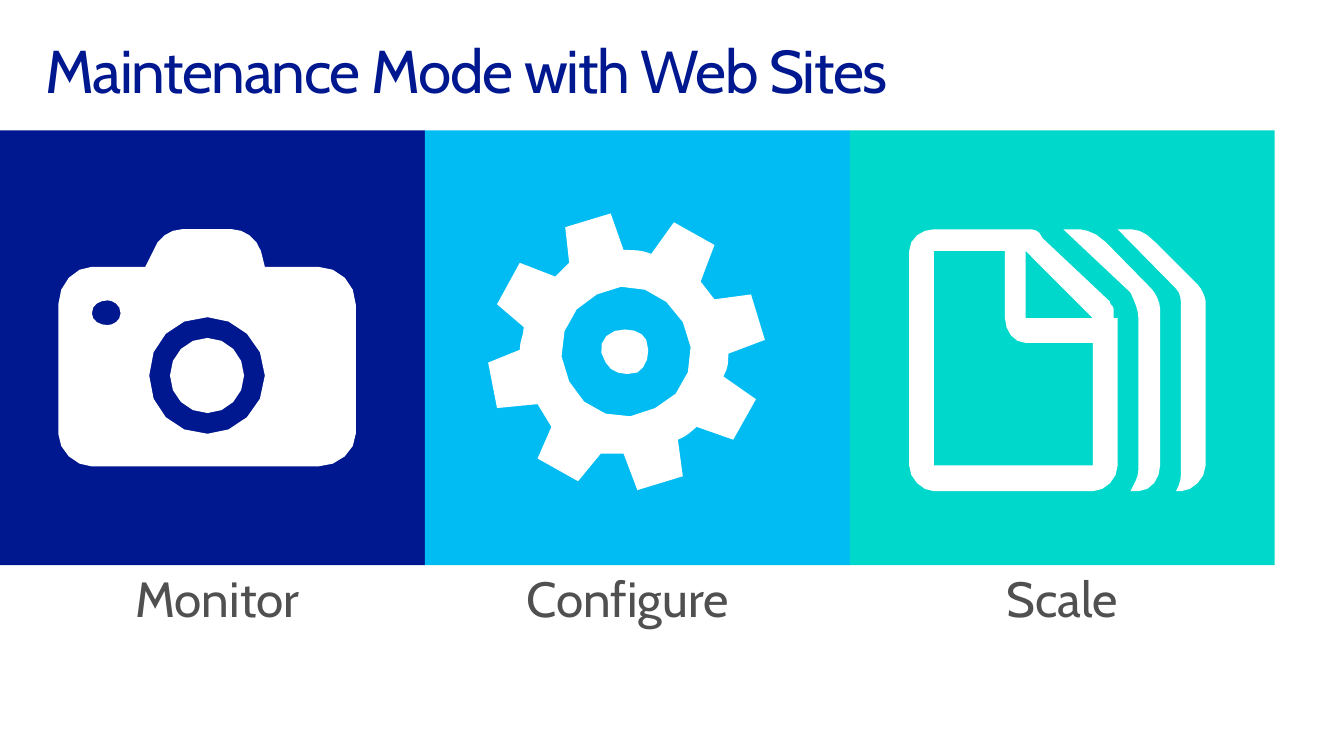
from dataclasses import dataclass

from pptx import Presentation
from pptx import util as u
from pptx.dml.color import RGBColor
from pptx.enum import shapes, text
from pptx.shapes.autoshape import Shape
from pptx.slide import Slide


@dataclass(frozen=True)
class Theme:
    font: str = "Cabin"
    navy: str = "00188F"
    sky: str = "00BCF2"
    teal: str = "00D8CC"
    white: str = "FFFFFF"
    grey: str = "505050"
    title_size: int = 44
    label_size: int = 36
    title_tracking: float = -1.02


@dataclass(frozen=True)
class Panel:
    label: str
    color: str
    label_left: float
    label_width: float
    icon: tuple[str, ...]


THEME = Theme()
PANEL_TOP, PANEL_WIDTH, PANEL_HEIGHT = 1.32, 4.3, 4.4
CURVE_STEPS = 4

# Each string is one closed contour in inches, with steps separated by "|":
# two numbers are a corner, six numbers are a Bézier curve.
CAMERA = (
    "2.68 3.8 | 2.68 3.46 2.39 3.21 2.1 3.21 | 1.76 3.21 1.51 3.46 1.51 3.8"
    " | 1.51 4.14 1.76 4.39 2.1 4.39 | 2.39 4.39 2.68 4.14 2.68 3.8",
    "1.22 3.17 | 1.22 3.08 1.14 3.04 1.09 3.04 | 1.01 3.04 0.93 3.08 0.93 3.17"
    " | 0.93 3.25 1.01 3.29 1.09 3.29 | 1.14 3.29 1.22 3.25 1.22 3.17",
    "3.6 3.08 | 3.6 4.39 | 3.6 4.56 3.43 4.72 3.22 4.72 | 0.93 4.72"
    " | 0.76 4.72 0.59 4.56 0.59 4.39 | 0.59 3.08 | 0.59 2.87 0.76 2.7 0.93 2.7"
    " | 1.47 2.7 | 1.55 2.54 | 1.59 2.41 1.72 2.32 1.84 2.32 | 2.35 2.32"
    " | 2.47 2.32 2.6 2.41 2.64 2.54 | 2.68 2.7 | 3.22 2.7"
    " | 3.43 2.7 3.6 2.87 3.6 3.08",
    "2.47 3.8 | 2.47 4.01 2.3 4.18 2.1 4.18 | 1.89 4.18 1.72 4.01 1.72 3.8"
    " | 1.72 3.59 1.89 3.42 2.1 3.42 | 2.3 3.42 2.47 3.59 2.47 3.8",
)
GEAR = (
    "6.63 4.13 | 6.31 4.32 5.9 4.18 5.76 3.86 | 5.58 3.54 5.72 3.12 6.04 2.98"
    " | 6.36 2.8 6.73 2.94 6.91 3.26 | 7.09 3.58 6.96 4 6.63 4.13",
    "7.74 3.44 | 7.6 2.98 | 7.23 3.03 | 7.09 2.85"
    " | 7.23 2.48 | 6.82 2.25 | 6.59 2.57 | 6.5 2.53 6.41 2.53 6.31 2.53"
    " | 6.18 2.16 | 5.72 2.3 | 5.76 2.66 | 5.62 2.8"
    " | 5.26 2.66 | 5.03 3.08 | 5.3 3.31 | 5.3 3.4 5.26 3.44 5.26 3.54"
    " | 4.94 3.67 | 5.03 4.13 | 5.44 4.09 | 5.58 4.32"
    " | 5.44 4.64 | 5.85 4.87 | 6.08 4.59 | 6.31 4.59"
    " | 6.45 4.96 | 6.91 4.82 | 6.86 4.45 | 6.96 4.41 7 4.36 7.05 4.32"
    " | 7.42 4.45 | 7.65 4.04 | 7.32 3.81 | 7.37 3.72 7.37 3.67 7.37 3.58",
    "6.22 3.35 | 6.08 3.4 6.04 3.54 6.13 3.67 | 6.18 3.77 6.31 3.81 6.45 3.77"
    " | 6.54 3.72 6.59 3.58 6.54 3.44 | 6.5 3.35 6.36 3.31 6.22 3.35",
)
PAGES = (
    "11.27 3.22 | 11.27 3.13 | 11.27 3.09 11.23 3.09 11.23 3.05 | 10.55 2.41"
    " | 10.51 2.32 10.47 2.32 10.38 2.32 | 9.45 2.32"
    " | 9.33 2.32 9.2 2.41 9.2 2.54 | 9.2 4.71 | 9.2 4.84 9.33 4.97 9.45 4.97"
    " | 11.06 4.97 | 11.19 4.97 11.31 4.84 11.31 4.71 | 11.31 3.22",
    "10.38 2.54 | 11.06 3.22 | 10.38 3.22",
    "11.06 4.71 | 9.45 4.71 | 9.45 2.54 | 10.17 2.54 | 10.17 3.22"
    " | 10.17 3.35 10.26 3.47 10.38 3.47 | 11.06 3.47",
    "11.65 2.92 | 11.69 2.96 11.74 3.05 11.74 3.13 | 11.74 4.71"
    " | 11.74 4.84 11.65 4.97 11.52 4.97 | 11.44 4.97"
    " | 11.48 4.88 11.52 4.84 11.52 4.75 | 11.52 3.22"
    " | 11.52 3.13 11.48 3.05 11.44 2.96 | 10.76 2.32 | 10.89 2.32"
    " | 10.93 2.32 11.06 2.32 11.19 2.45",
    "12.12 2.88 | 12.16 2.92 12.2 3.01 12.2 3.05 | 12.2 4.71"
    " | 12.2 4.84 12.07 4.97 11.95 4.97 | 11.9 4.97"
    " | 11.95 4.88 11.95 4.84 11.95 4.75 | 11.95 3.09"
    " | 11.95 3.05 11.95 2.96 11.9 2.92 | 11.31 2.32 | 11.4 2.32"
    " | 11.48 2.32 11.57 2.32 11.69 2.45",
)

PANELS = (
    Panel("Monitor", THEME.navy, 0.3, 3.8, CAMERA),
    Panel("Configure", THEME.sky, 4.2, 4.3, GEAR),
    Panel("Scale", THEME.teal, 8.6, 4.3, PAGES),
)


def contour_points(contour: str) -> list[tuple[u.Length, u.Length]]:
    """Flatten one contour's corners and curves to points."""
    points: list[tuple[float, float]] = []
    for step in contour.split("|"):
        numbers = [float(number) for number in step.split()]
        pairs = list(zip(numbers[::2], numbers[1::2]))
        if len(pairs) == 1:
            points += pairs
            continue
        controls = [points[-1], *pairs]
        for index in range(1, CURVE_STEPS + 1):
            t = index / CURVE_STEPS
            weights = ((1 - t) ** 3, 3 * t * (1 - t) ** 2, 3 * t**2 * (1 - t), t**3)
            points.append((
                sum(weight * x for weight, (x, _) in zip(weights, controls)),
                sum(weight * y for weight, (_, y) in zip(weights, controls)),
            ))
    return [(u.Inches(x), u.Inches(y)) for x, y in points]


def paint(shape: Shape, color: str) -> None:
    shape.shadow.inherit = False
    shape.fill.solid()
    shape.fill.fore_color.rgb = RGBColor.from_string(color)
    shape.line.fill.background()


def add_tile(page: Slide, column: int, color: str) -> None:
    tile = page.shapes.add_shape(
        shapes.MSO_SHAPE.RECTANGLE, u.Inches(column * PANEL_WIDTH),
        u.Inches(PANEL_TOP), u.Inches(PANEL_WIDTH), u.Inches(PANEL_HEIGHT))
    paint(tile, color)


def add_icon(page: Slide, icon: tuple[str, ...]) -> None:
    contours = [contour_points(contour) for contour in icon]
    builder = page.shapes.build_freeform(*contours[0][0])
    for number, (start, *rest) in enumerate(contours):
        if number:
            builder.move_to(*start)
        builder.add_line_segments(rest, close=True)
    paint(builder.convert_to_shape(), THEME.white)


def add_text(page: Slide, words: str, left: float, top: float, width: float,
             height: float, size: int, color: str) -> text.PP_ALIGN:
    """Add a one-line text box and return its paragraph."""
    box = page.shapes.add_textbox(
        u.Inches(left), u.Inches(top), u.Inches(width), u.Inches(height))
    frame = box.text_frame
    frame.word_wrap = True
    frame.margin_left = frame.margin_right = u.Inches(0.16)
    frame.margin_top = frame.margin_bottom = u.Inches(0.1)
    para = frame.paragraphs[0]
    para.line_spacing = 0.9
    para.font.name = THEME.font
    para.font.size = u.Pt(size)
    para.font.color.rgb = RGBColor.from_string(color)
    para.add_run().text = words
    return para


def main() -> None:
    deck = Presentation()
    deck.slide_width, deck.slide_height = u.Inches(13.6), u.Inches(7.65)
    page = deck.slides.add_slide(deck.slide_layouts[6])
    for column, panel in enumerate(PANELS):
        add_tile(page, column, panel.color)
    title = add_text(page, "Maintenance Mode with Web Sites", 0.3, 0.32, 13, 1,
                     THEME.title_size, THEME.navy)
    tracking = round(THEME.title_tracking * 100)
    title.runs[0]._r.get_or_add_rPr().set("spc", str(tracking))
    for panel in PANELS:
        label = add_text(page, panel.label, panel.label_left,
                         PANEL_TOP + PANEL_HEIGHT, panel.label_width, 0.75,
                         THEME.label_size, THEME.grey)
        label.alignment = text.PP_ALIGN.CENTER
    for panel in PANELS:
        add_icon(page, panel.icon)
    deck.save("out.pptx")


if __name__ == "__main__":
    main()
